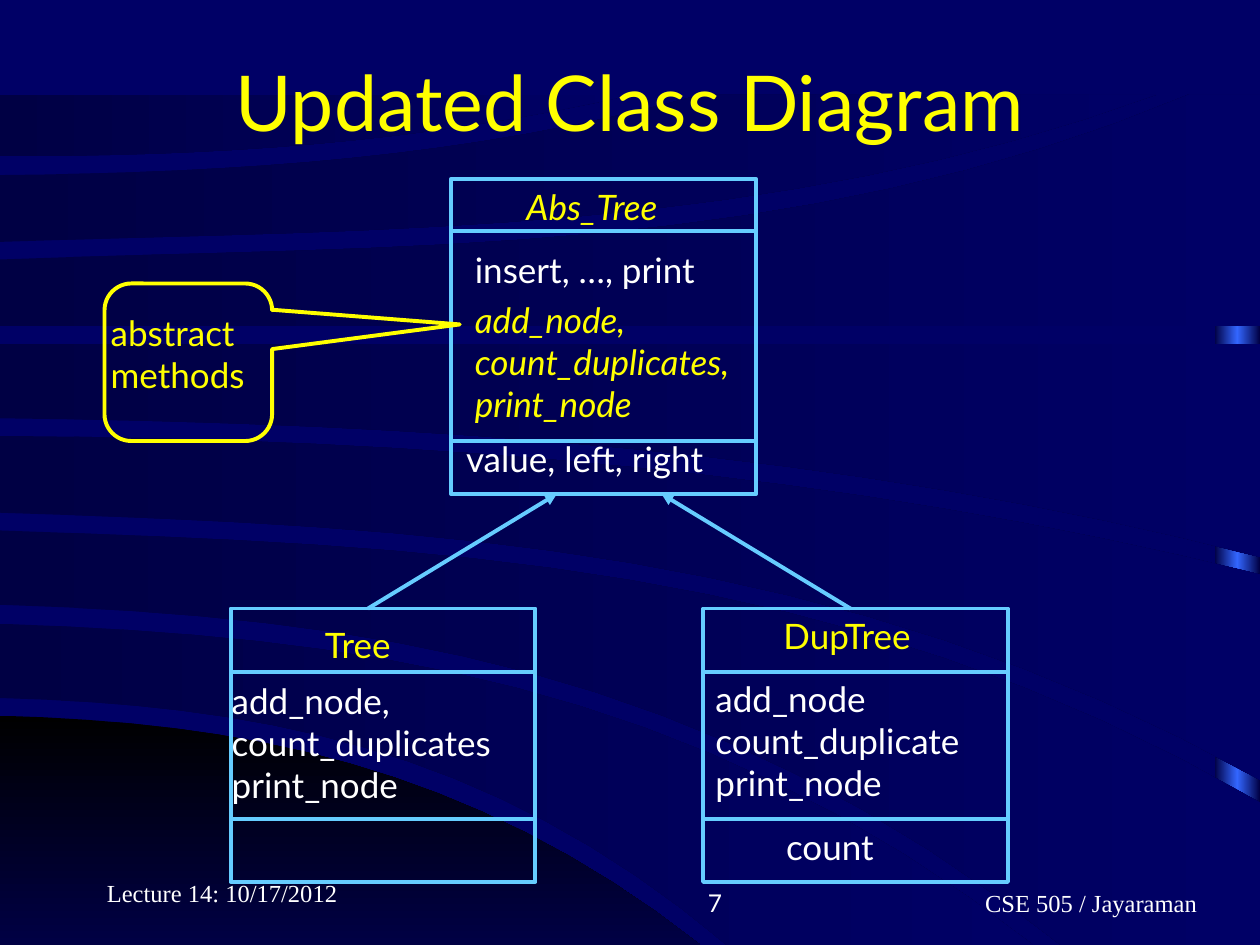
from pptx import Presentation
from pptx.dml.color import RGBColor
from pptx.enum.shapes import MSO_CONNECTOR as Link, MSO_SHAPE as Preset
from pptx.enum.text import MSO_ANCHOR as Anchor, PP_ALIGN as Align
from pptx.oxml.ns import qn
from pptx.util import Cm, Pt
from copy import deepcopy
from math import prod
from lxml.etree import SubElement

NAVY = RGBColor(0x00, 0x00, 0x66)
DARK_NAVY = RGBColor(0x00, 0x00, 0x44)
BLACK = RGBColor(0x00, 0x00, 0x00)
BLUE = RGBColor(0x33, 0x66, 0xFF)
SKY = RGBColor(0x66, 0xCC, 0xFF)
YELLOW = RGBColor(0xFF, 0xFF, 0x00)
WHITE = RGBColor(0xFF, 0xFF, 0xFF)

UNIT = 2.54  # centimetres in one layout unit; the page is 10 by 7.5 units
BOX_WIDTH = 2.42
CURVE_STEPS = 16
BODY = {"name": "Lato", "size": Pt(20)}
ITALIC = {**BODY, "italic": True}
TITLE = {"name": "Lato", "size": Pt(44)}
NUMBER = {"name": "Lato", "size": Pt(14)}
FOOTER = {"name": "Times New Roman", "size": Pt(14)}

# Upper and lower edge of each curved region: right end, then evenly spaced heights
CORNER = (5.56, 5.68, 5.85, 6.39, 7.5), (5.56, 7.5)
BANDS = [
    ((8.2, 4.95, 5.18, 5.91, 7.5), (5.77, 5.54, 5.71, 6.28, 7.5)),
    ((10, 4.21, 4.39, 4.97, 6.37), (8.42, 4.8, 5.04, 5.82, 7.5)),
    ((10, 3.46, 3.57, 3.91, 4.56), (10, 4.07, 4.25, 4.83, 6.19)),
    ((10, 2.73), (10, 3.32, 3.43, 3.76, 4.42)),
    ((9.44, 2.06, 1.96, 1.65, 0.75), (10, 2.59)),
    ((5.57, 1.39, 1.33, 1.14, 0.75), (9.18, 1.92, 1.82, 1.53, 0.75)),
    ((5.02, 0.75), (5.02, 1.24, 1.2, 1.05, 0.75)),
]

# Class boxes: left, top, height, heights of the dividing lines
CLASSES = [
    (3.58, 1.42, 2.5, (1.83, 3.5)),
    (1.83, 4.83, 2.17, (5.33, 6.5)),
    (5.58, 4.83, 2.17, (5.33, 6.5)),
]

# Labels: left, top, width, lines, format, colour
LABELS = [
    (4.08, 1.42, 1.52, ["Abs_Tree"], ITALIC, YELLOW),
    (3.67, 1.92, 2.25, ["insert, …, print"], BODY, WHITE),
    (3.67, 2.32, 2.58, ["add_node,", "count_duplicates,", "print_node"], ITALIC, YELLOW),
    (3.6, 3.42, 2.25, ["value, left, right"], BODY, WHITE),
    (2.48, 4.9, 1, ["Tree"], BODY, YELLOW),
    (1.74, 5.34, 2.41, ["add_node,", "count_duplicates", "print_node"], BODY, WHITE),
    (6.12, 4.83, 1.54, ["DupTree"], BODY, YELLOW),
    (5.58, 5.33, 2.33, ["add_node", "count_duplicate", "print_node"], BODY, WHITE),
    (6.14, 6.5, 0.94, ["count"], BODY, WHITE),
    (0.78, 2.42, 1.36, ["abstract", "methods"], BODY, YELLOW),
]


def cm(*values):
    return [Cm(value * UNIT) for value in values]


def curve(end, *heights):
    """Points on the polynomial through evenly spaced heights."""
    nodes = range(len(heights))
    points = []
    for step in range(CURVE_STEPS + 1):
        share = step / CURVE_STEPS
        at = share * (len(heights) - 1)
        level = sum(height * prod((at - other) / (node - other)
                                  for other in nodes if other != node)
                    for node, height in enumerate(heights))
        points.append((end * share, level))
    return points


def set_gradient(shape, colors, angle=0):
    shape.shadow.inherit = False
    shape.line.fill.background()
    shape.fill.gradient()
    shape.fill.gradient_angle = angle
    stop_list = shape._element.spPr.find(".//" + qn("a:gsLst"))
    while len(stop_list) < len(colors):
        stop_list.append(deepcopy(stop_list[0]))
    for index, (stop, color) in enumerate(zip(shape.fill.gradient_stops, colors)):
        stop.color.rgb = color
        stop.position = index / (len(colors) - 1)


def add_region(page, edges, colors, angle=0):
    upper, lower = [curve(*edge) for edge in edges]
    shorter, longer = sorted((upper[-1], lower[-1]))
    outline = upper + [(longer[0], shorter[1])] + lower[::-1]
    start, *others = [cm(*point) for point in outline]
    builder = page.shapes.build_freeform(*start, scale=1.0)
    builder.add_line_segments(others, close=True)
    set_gradient(builder.convert_to_shape(), colors, angle)


def add_outline(page, preset, color, *place):
    shape = page.shapes.add_shape(preset, *cm(*place))
    shape.shadow.inherit = False
    shape.fill.background()
    shape.line.color.rgb = color
    shape.line.width = Pt(2.25)
    return shape


def add_line(page, *ends, arrow=False):
    line = page.shapes.add_connector(Link.STRAIGHT, *cm(*ends))
    line.line.color.rgb = SKY
    line.line.width = Pt(2.25)
    if arrow:
        SubElement(line.line._get_or_add_ln(), qn("a:tailEnd"), type="triangle")
    SubElement(line._element.spPr, qn("a:effectLst"))


def add_text(page, place, lines, style, color, align=Align.LEFT, anchor=Anchor.TOP):
    frame = page.shapes.add_textbox(*cm(*place)).text_frame
    frame.word_wrap = True
    frame.vertical_anchor = anchor
    frame.text = "\n".join(lines)
    for para in frame.paragraphs:
        para.alignment = align
        for span in para.runs:
            for name, value in style.items():
                setattr(span.font, name, value)
            span.font.color.rgb = color


def add_label(page, left, top, width, lines, style, color):
    height = 0.1 + len(lines) / 3
    add_text(page, (left, top, width, height), lines, style, color)


def add_class_box(page, left, top, height, dividers):
    add_outline(page, Preset.RECTANGLE, SKY, left, top, BOX_WIDTH, height)
    for level in dividers:
        add_line(page, left, level, left + BOX_WIDTH, level)


def add_background(page):
    page.background.fill.solid()
    page.background.fill.fore_color.rgb = NAVY
    bar = page.shapes.add_shape(Preset.RECTANGLE, *cm(9.64, 0.77, 0.36, 6.73))
    set_gradient(bar, [DARK_NAVY, BLUE, DARK_NAVY])
    add_region(page, CORNER, [BLACK, DARK_NAVY], angle=270)
    for band in BANDS:
        add_region(page, band, [DARK_NAVY, NAVY])


def main():
    deck = Presentation()
    deck.slide_width, deck.slide_height = cm(10, 7.5)
    page = deck.slides.add_slide(deck.slide_layouts[6])
    add_background(page)

    # Title and footer
    add_text(page, (0.75, 0.17, 8.5, 1.25), ["Updated Class Diagram"], TITLE, YELLOW,
             Align.CENTER, Anchor.MIDDLE)
    add_text(page, (0.75, 6.75, 2.08, 0.5), ["Lecture 14: 10/17/2012"], FOOTER, WHITE,
             anchor=Anchor.BOTTOM)
    add_text(page, (3.75, 6.83, 2.08, 0.5), ["7"], NUMBER, WHITE,
             Align.RIGHT, Anchor.BOTTOM)
    add_text(page, (6.58, 6.83, 3.02, 0.5), ["CSE 505 / Jayaraman"], FOOTER, WHITE,
             Align.RIGHT, Anchor.BOTTOM)

    # Class boxes and inheritance arrows
    for class_box in CLASSES:
        add_class_box(page, *class_box)
    for start, end in ((2.92, 4.42), (6.75, 5.25)):
        add_line(page, start, 4.83, end, 3.92, arrow=True)

    # Callout and labels
    callout = add_outline(page, Preset.ROUNDED_RECTANGULAR_CALLOUT, YELLOW,
                          0.83, 2.25, 1.33, 1.25)
    for index, value in enumerate((1.62, -0.24, 0.17)):
        callout.adjustments[index] = value
    for label in LABELS:
        add_label(page, *label)

    deck.save("out.pptx")


if __name__ == "__main__":
    main()
